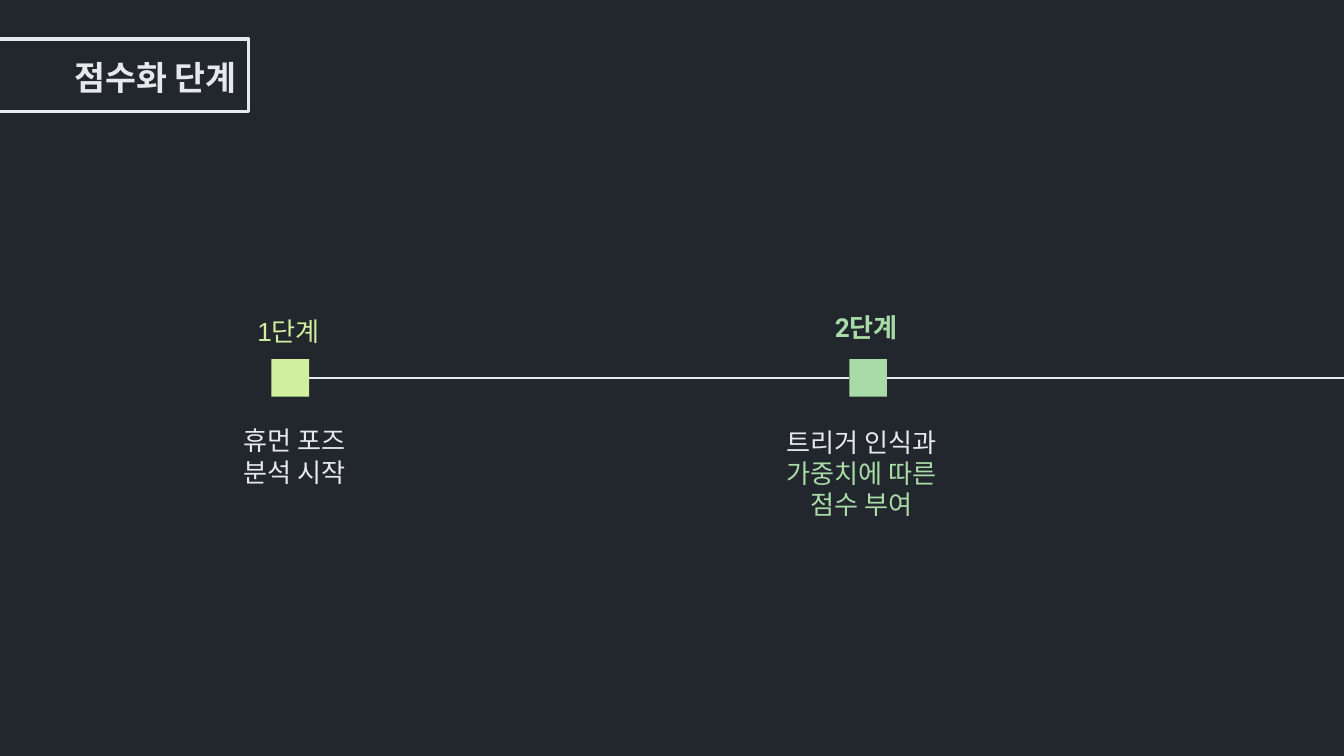
from lxml.etree import SubElement
from pptx import Presentation
from pptx.dml.color import RGBColor
from pptx.enum.shapes import MSO_CONNECTOR, MSO_SHAPE
from pptx.enum.text import MSO_ANCHOR, MSO_AUTO_SIZE, PP_ALIGN
from pptx.oxml.ns import qn
from pptx.util import Inches, Pt

BACKGROUND = RGBColor(0x22, 0x26, 0x2D)
LIGHT = RGBColor(0xE6, 0xE9, 0xEC)
LIME = RGBColor(0xD0, 0xF0, 0x9F)
GREEN = RGBColor(0xA8, 0xDB, 0xA7)
SLIDE_WIDTH = 10
SLIDE_HEIGHT = SLIDE_WIDTH * 9 / 16
AXIS_Y = SLIDE_HEIGHT / 2
MARKER = 0.28


def write(frame, lines, colors, align, size=14, font="Roboto", bold=False, inset=0.05):
    frame.text = "\n".join(lines)
    frame.word_wrap = True
    frame.auto_size = MSO_AUTO_SIZE.NONE
    frame.vertical_anchor = MSO_ANCHOR.TOP
    frame.margin_left = frame.margin_right = Inches(0.1)
    frame.margin_top = frame.margin_bottom = Inches(inset)
    for paragraph, color in zip(frame.paragraphs, colors):
        paragraph.alignment = align
        for run in paragraph.runs:
            run.font.name = font
            run.font.size = Pt(size)
            run.font.bold = bold
            run.font.color.rgb = color


def timeline(start, end):
    line = slide.shapes.add_connector(
        MSO_CONNECTOR.STRAIGHT, Inches(start), Inches(AXIS_Y), Inches(end), Inches(AXIS_Y))
    line.line.color.rgb = LIGHT
    line.line.width = Pt(1)
    SubElement(line._element.spPr, qn("a:effectLst"))
    return line


prs = Presentation()
prs.slide_width = Inches(SLIDE_WIDTH)
prs.slide_height = Inches(SLIDE_HEIGHT)
slide = prs.slides.add_slide(prs.slide_layouts[5])
slide.background.fill.solid()
slide.background.fill.fore_color.rgb = BACKGROUND

title = slide.shapes.title
title.left, title.top, title.width, title.height = map(Inches, (0, 0.37, 1.86, 0.4))
write(title.text_frame, ["점수화 단계"], [LIGHT], PP_ALIGN.RIGHT, size=18, bold=True)

title_frame = slide.shapes.add_shape(
    MSO_SHAPE.RECTANGLE, Inches(-0.18), Inches(0.29), Inches(2.03), Inches(0.54))
title_frame.shadow.inherit = False
title_frame.fill.background()
title_frame.line.color.rgb = LIGHT
title_frame.line.width = Pt(2)

first_span = timeline(2.07, 6.32)
second_span = timeline(6.6, SLIDE_WIDTH)

stages = [
    ("1단계", (1.66, 2.25, 0.82, 0.28), "Arial", False, LIME, 2.02,
     ["휴먼 포즈", "분석 시작"], [LIGHT, LIGHT], (1.53, 3.11, 1.32, 0.57)),
    ("2단계", (5.07, 2.22, 1.71, 0.28), "Roboto", True, GREEN, 6.32,
     ["트리거 인식과", "가중치에 따른 점수 부여"], [LIGHT, GREEN], (5.61, 3.12, 1.6, 0.81)),
]
markers = []
for name, name_box, font, bold, color, left, lines, line_colors, lines_box in stages:
    stage_name = slide.shapes.add_textbox(*map(Inches, name_box))
    write(stage_name.text_frame, [name], [color], PP_ALIGN.RIGHT, font=font, bold=bold, inset=0.1)

    marker = slide.shapes.add_shape(
        MSO_SHAPE.RECTANGLE, Inches(left), Inches(AXIS_Y - MARKER / 2),
        Inches(MARKER), Inches(MARKER))
    marker.shadow.inherit = False
    marker.fill.solid()
    marker.fill.fore_color.rgb = color
    marker.line.fill.background()
    markers.append(marker)

    description = slide.shapes.add_textbox(*map(Inches, lines_box))
    write(description.text_frame, lines, line_colors, PP_ALIGN.CENTER)

first_span.end_connect(markers[1], 1)
second_span.begin_connect(markers[1], 3)

prs.save("out.pptx")
